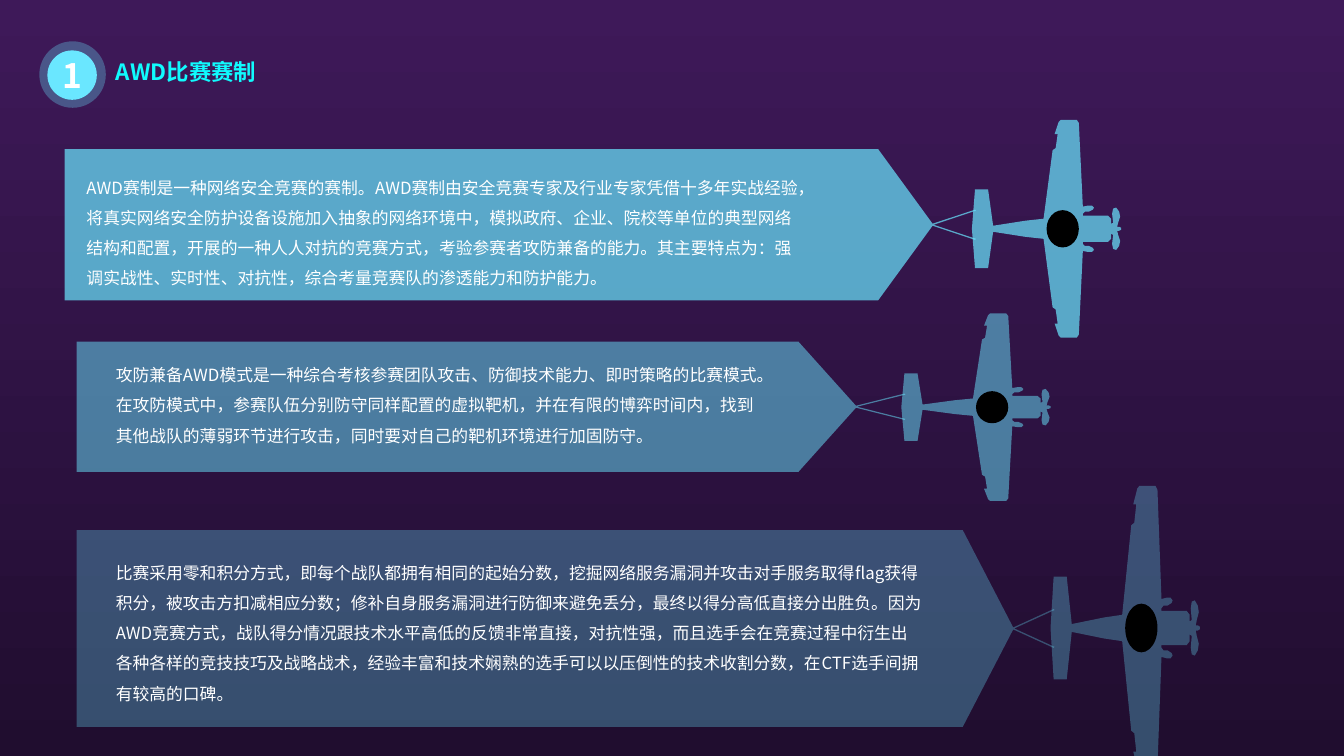
from lxml import etree
from pptx import Presentation
from pptx import util as u
from pptx.dml.color import RGBColor
from pptx.enum import shapes, text
from pptx.oxml.ns import qn

FONT = "Noto Sans CJK SC"
SKY = RGBColor(0x6A, 0xE7, 0xFF)
CYAN = RGBColor(0x10, 0xFB, 0xFE)
WHITE = RGBColor(0xFF, 0xFF, 0xFF)
BLACK = RGBColor(0, 0, 0)
TOP_PURPLE = RGBColor(0x3E, 0x19, 0x59)
BOTTOM_PURPLE = RGBColor(0x20, 0x0D, 0x2F)

# Upper half of the plane: distance from the tail and from the axis
PLANE_HALF = [
    (1.48, .01), (1.46, .02), (1.44, .02), (1.45, .06), (1.47, .12),
    (1.46, .17), (1.43, .21), (1.40, .20), (1.39, .15), (1.40, .06),
    (1.38, .05), (1.38, .10), (1.35, .13), (1.10, .13), (1.10, .15),
    (1.12, .17), (1.16, .17), (1.20, .19), (1.21, .21), (1.19, .23),
    (1.15, .23), (1.10, .22), (1.06, 1.05), (1.04, 1.08), (.88, 1.08),
    (.86, 1.06), (.82, .94), (.85, .94), (.83, .80), (.80, .78),
    (.71, .10), (.53, .08), (.21, .03), (.16, .39), (.03, .39), (0, .01),
]
PLANE_HALF_SPAN = 1.08

# Banner (left, top, shoulder, tip, height), plane (tail, axis, half span),
# opacity in percent, text box (left, top, width, height), wording
ROWS = [
    ((0.64, 1.48, 8.71, 9.25, 1.5), (9.64, 2.27, 1.08), 70,
     (0.76, 1.61, 7.27, 1.31),
     "AWD赛制是一种网络安全竞赛的赛制。AWD赛制由安全竞赛专家及行业专家凭借十多年实战经验，"
     "将真实网络安全防护设备设施加入抽象的网络环境中，模拟政府、企业、院校等单位的典型网络结构和配置，"
     "开展的一种人人对抗的竞赛方式，考验参赛者攻防兼备的能力。其主要特点为："
     "强调实战性、实时性、对抗性，综合考量竞赛队的渗透能力和防护能力。"),
    ((0.76, 3.39, 7.92, 8.49, 1.29), (8.94, 4.04, 0.93), 50,
     (1.05, 3.47, 6.58, 1.01),
     "攻防兼备AWD模式是一种综合考核参赛团队攻击、防御技术能力、即时策略的比赛模式。"
     "在攻防模式中，参赛队伍分别防守同样配置的虚拟靶机，并在有限的博弈时间内，"
     "找到其他战队的薄弱环节进行攻击，同时要对自己的靶机环境进行加固防守。"),
    ((0.76, 5.26, 9.55, 10.05, 1.95), (10.42, 6.23, 1.41), 30,
     (1.05, 5.43, 8.22, 1.61),
     "比赛采用零和积分方式，即每个战队都拥有相同的起始分数，挖掘网络服务漏洞并攻击对手服务取得flag获得积分，"
     "被攻击方扣减相应分数；修补自身服务漏洞进行防御来避免丢分，最终以得分高低直接分出胜负。"
     "因为AWD竞赛方式，战队得分情况跟技术水平高低的反馈非常直接，对抗性强，"
     "而且选手会在竞赛过程中衍生出各种各样的竞技技巧及战略战术，"
     "经验丰富和技术娴熟的选手可以以压倒性的技术收割分数，在CTF选手间拥有较高的口碑。"),
]


def paint(shape, color, opacity=100):
    shape.shadow.inherit = False
    shape.fill.solid()
    shape.fill.fore_color.rgb = color
    shape.line.fill.background()
    if opacity < 100:
        tint = shape._element.spPr.find(qn("a:solidFill"))[0]
        etree.SubElement(tint, qn("a:alpha"), val=str(opacity * 1000))


def write(shape, wording, size, color, bold=False):
    shape.text_frame.text = wording
    para = shape.text_frame.paragraphs[0]
    span = para.runs[0]
    span.font.name = FONT
    span.font.size = u.Pt(size)
    span.font.bold = bold
    span.font.color.rgb = color
    latin = span.font._element.find(qn("a:latin"))
    latin.addnext(etree.Element(qn("a:ea"), typeface=FONT))
    return para


deck = Presentation()
deck.slide_width, deck.slide_height = u.Inches(13.33), u.Inches(7.5)
page = deck.slides.add_slide(deck.slide_layouts[5])

# Background
backdrop = page.background.fill
backdrop.gradient()
backdrop.gradient_angle = 270
for stop, color in zip(backdrop.gradient_stops, (TOP_PURPLE, BOTTOM_PURPLE)):
    stop.color.rgb = color

# Title
title = page.shapes.title
title.left, title.top = u.Inches(1.05), u.Inches(0.53)
title.width, title.height = u.Inches(5.73), u.Inches(0.37)
title.text_frame.auto_size = text.MSO_AUTO_SIZE.NONE
title.text_frame.vertical_anchor = text.MSO_ANCHOR.TOP
heading = write(title, "AWD比赛赛制", 16, CYAN, bold=True)
heading.alignment = text.PP_ALIGN.LEFT

# Number badge: halo, then disc
for left, top, size, opacity in ((0.39, 0.41, 0.66, 30), (0.47, 0.5, 0.49, 100)):
    disc = page.shapes.add_shape(
        shapes.MSO_SHAPE.OVAL, u.Inches(left), u.Inches(top), u.Inches(size), u.Inches(size))
    paint(disc, SKY, opacity)
frame = disc.text_frame
frame.margin_left = frame.margin_right = frame.margin_top = frame.margin_bottom = 0
frame.vertical_anchor = text.MSO_ANCHOR.MIDDLE
frame.word_wrap = False
write(disc, "1", 24, WHITE, bold=True).alignment = text.PP_ALIGN.CENTER

# Planes towing banners
for banner, plane, opacity, place, wording in ROWS:
    left, top, shoulder, tip, height = banner
    tail, axis, half_span = plane
    stretch = half_span / PLANE_HALF_SPAN
    middle = top + height / 2
    rope = 0.14 * stretch

    # Banner with its two tow ropes, mirrored about the middle
    upper = [(left, height / 2), (shoulder, height / 2), (tip, 0.01),
             (tail + 0.03, rope + 0.01), (tail + 0.04, rope), (tip + 0.01, 0)]
    banner_points = [(x, middle - y) for x, y in upper]
    banner_points += [(x, middle + y) for x, y in reversed(upper[:-1])]

    # Plane, mirrored about its axis
    plane_points = [(tail + x, axis - y * stretch) for x, y in PLANE_HALF]
    plane_points += [(tail + x, axis + y * stretch) for x, y in reversed(PLANE_HALF)]

    for points in (banner_points, plane_points):
        corners = [(u.Inches(x), u.Inches(y)) for x, y in points]
        builder = page.shapes.build_freeform(*corners[0])
        builder.add_line_segments(corners[1:])
        paint(builder.convert_to_shape(), SKY, opacity)

    # Cockpit
    cockpit_height = 0.37 * stretch
    cockpit = page.shapes.add_shape(
        shapes.MSO_SHAPE.OVAL, u.Inches(tail + 0.74), u.Inches(axis - cockpit_height / 2),
        u.Inches(0.32), u.Inches(cockpit_height))
    paint(cockpit, BLACK)

    # Banner text
    box = page.shapes.add_textbox(*(u.Inches(length) for length in place))
    box.text_frame.word_wrap = True
    box.text_frame.auto_size = text.MSO_AUTO_SIZE.SHAPE_TO_FIT_TEXT
    write(box, wording, 12, WHITE).line_spacing = 1.5

deck.save("out.pptx")
